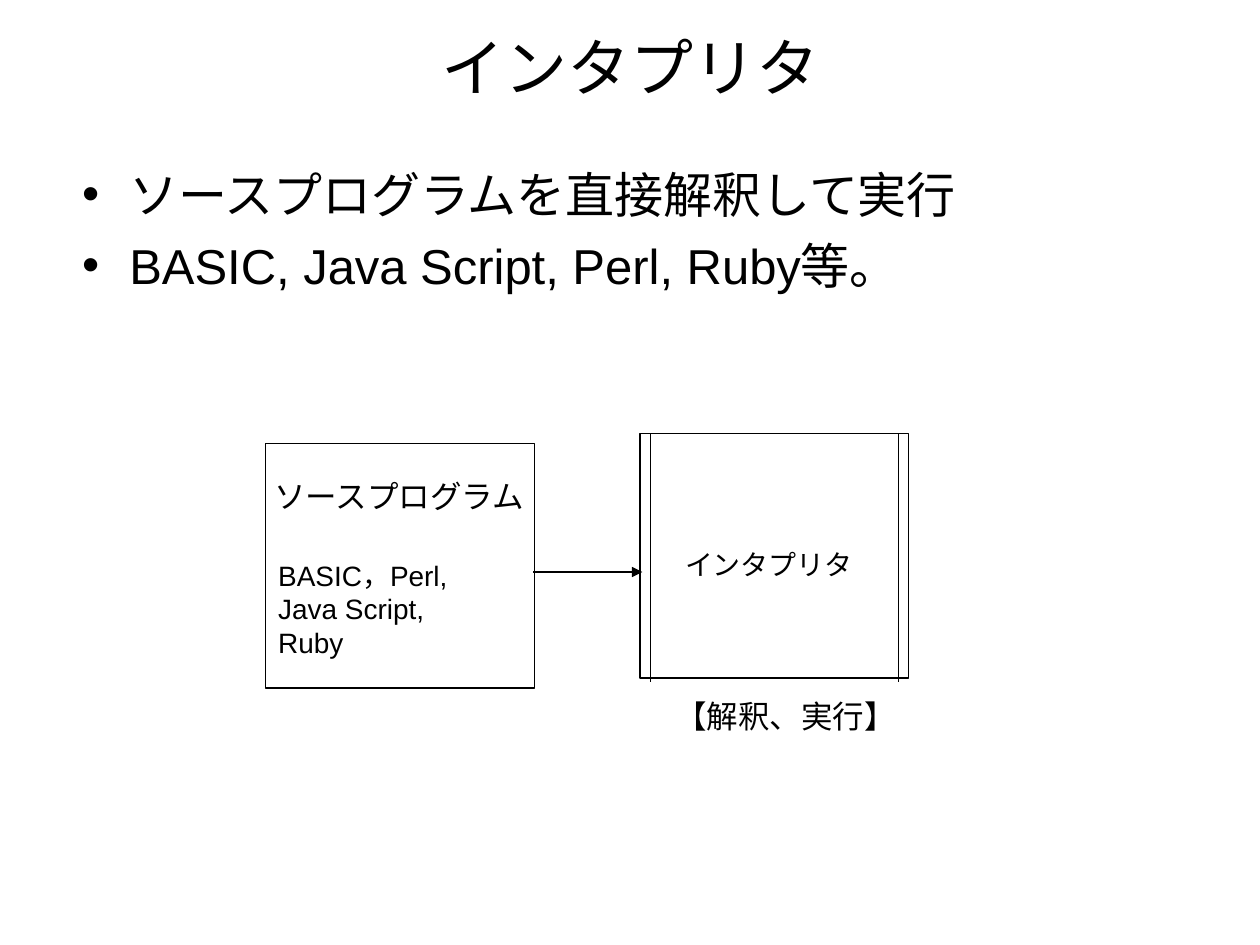
"""Build the slide on how an interpreter runs a source program."""
from lxml import etree
from pptx import Presentation
from pptx import util as u
from pptx.dml.color import RGBColor
from pptx.enum import shapes, text
from pptx.oxml.ns import qn

COLORS = {"ink": "000000", "paper": "FFFFFF"}
INK = RGBColor.from_string(COLORS["ink"])
PAPER = RGBColor.from_string(COLORS["paper"])


def write(sp, lines, size, align, gap=0):
    tf = sp.text_frame
    tf.text = "\n".join(lines)
    for i, p in enumerate(tf.paragraphs):
        p.alignment = align
        p.space_before = u.Pt(gap if i else 0)
        p.font.name = "Arial"
        p.font.size = u.Pt(size)
        p.font.color.rgb = INK
    return tf


def add_line(parent, x1, y1, x2, y2):
    c = parent.add_connector(shapes.MSO_CONNECTOR.STRAIGHT, u.Cm(x1), u.Cm(y1), u.Cm(x2), u.Cm(y2))
    c.line.color.rgb = INK
    c.line.width = u.Pt(0.75)
    etree.SubElement(c.element.spPr, qn("a:effectLst"))
    return c


prs = Presentation()
prs.slide_width, prs.slide_height = u.Cm(25.4), u.Cm(19.05)
s = prs.slides.add_slide(prs.slide_layouts[1])
s.background.fill.solid()
s.background.fill.fore_color.rgb = PAPER

title, body = s.placeholders
title.left, title.top, title.width, title.height = u.Cm(1.27), u.Cm(-0.25), u.Cm(22.86), u.Cm(3.18)
tf = write(title, ["インタプリタ"], 36, text.PP_ALIGN.CENTER)
tf.vertical_anchor = text.MSO_ANCHOR.MIDDLE
tf.auto_size = text.MSO_AUTO_SIZE.NONE

body.left, body.top, body.width, body.height = u.Cm(1.4), u.Cm(3.18), u.Cm(23.04), u.Cm(4.8)
items = ["ソースプログラムを直接解釈して実行", "BASIC, Java Script, Perl, Ruby等。"]
tf = write(body, items, 28, text.PP_ALIGN.LEFT, 7)
tf.auto_size = text.MSO_AUTO_SIZE.NONE

interpreter = s.shapes.add_group_shape()
for parent, x, y in [(s.shapes, 5.36, 8.94), (interpreter.shapes, 12.9, 8.74)]:
    sp = parent.add_shape(shapes.MSO_SHAPE.RECTANGLE, u.Cm(x), u.Cm(y), u.Cm(5.41), u.Cm(4.93))
    sp.shadow.inherit = False
    sp.fill.solid()
    sp.fill.fore_color.rgb = PAPER
    sp.line.color.rgb = INK
    sp.line.width = u.Pt(0.75)

for x in (13.11, 18.11):
    add_line(interpreter.shapes, x, 8.74, x, 13.74)

labels = [
    (s.shapes, 5.28, 9.5, 5.59, 1.02, 18, ["ソースプログラム"]),
    (s.shapes, 5.36, 11.13, 4.9, 1.63, 16, ["BASIC，Perl,", "Java Script, Ruby"]),
    (interpreter.shapes, 13.56, 10.92, 3.89, 0.94, 16, ["インタプリタ"]),
    (s.shapes, 13.36, 13.92, 4.95, 1.02, 18, ["【解釈、実行】"]),
]
for parent, x, y, w, h, size, lines in labels:
    sp = parent.add_textbox(u.Cm(x), u.Cm(y), u.Cm(w), u.Cm(h))
    tf = write(sp, lines, size, text.PP_ALIGN.LEFT)
    tf.word_wrap = False
    tf.auto_size = text.MSO_AUTO_SIZE.SHAPE_TO_FIT_TEXT

arrow = add_line(s.shapes, 10.75, 11.53, 12.95, 11.53)
etree.SubElement(arrow.line._get_or_add_ln(), qn("a:tailEnd"), type="triangle")

prs.save("out.pptx")
